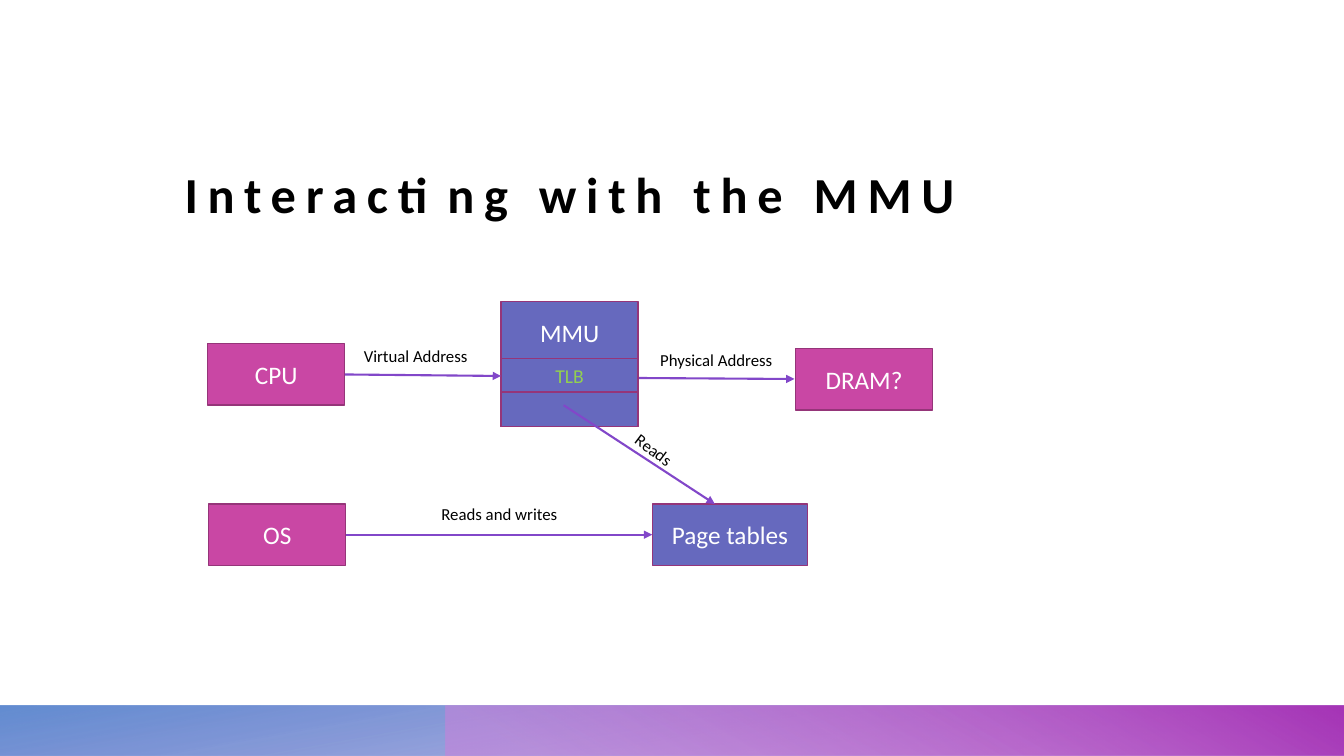
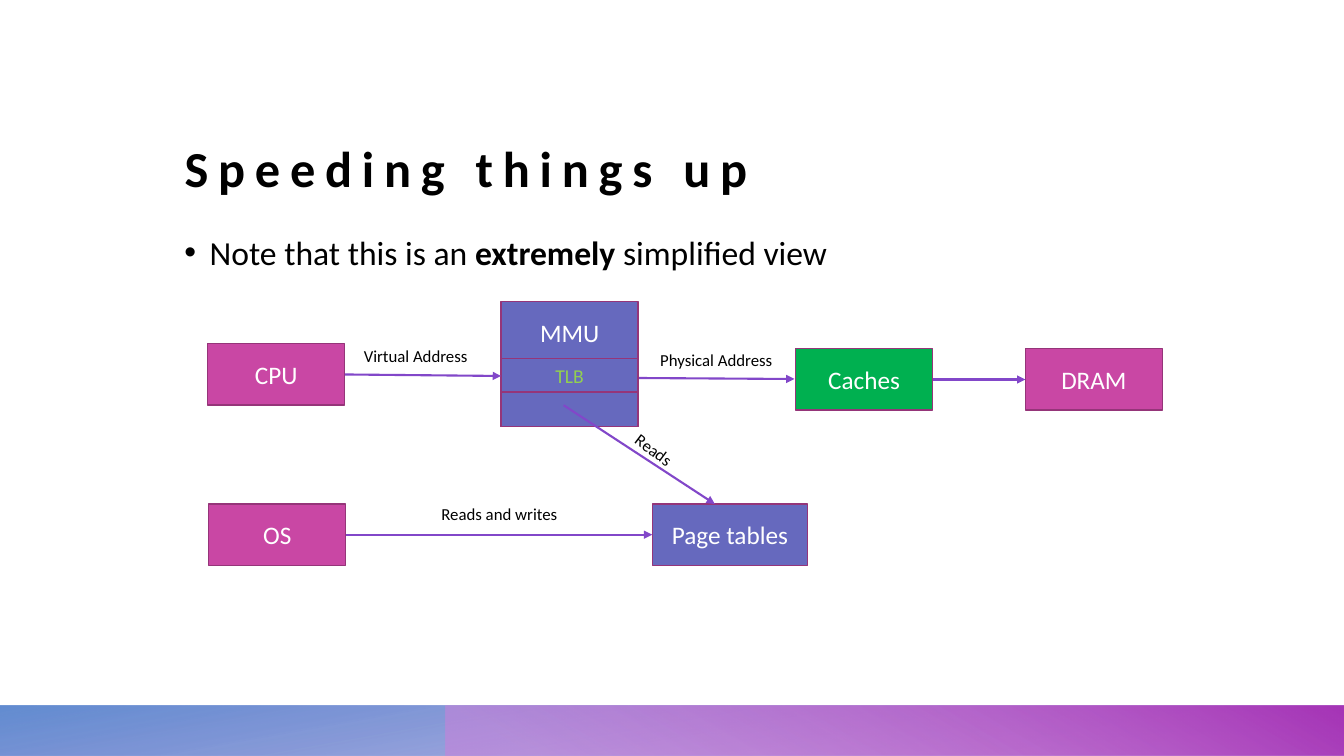
"""Two slides on how the MMU, page tables and caches interact."""
from lxml.etree import SubElement
from pptx import Presentation
from pptx.dml.color import RGBColor
from pptx.enum.shapes import MSO_CONNECTOR, MSO_SHAPE
from pptx.enum.text import MSO_ANCHOR, PP_ALIGN
from pptx.oxml import parse_xml
from pptx.oxml.ns import nsdecls, qn
from pptx.util import Emu, Pt

PX = 9144
FONT = "Calibri"
WIDTH, HEIGHT = 1333, 750
BAND_TOP, BAND_HEIGHT = 700, 50
TITLE_LEFT, TITLE_TOP, TITLE_WIDTH = 183, 87, 1087
BOX_W, BOX_H, STRIP_H = 136, 61, 34
LABEL_W, LABEL_H = 136, 30
RIGHT_SITE, LEFT_SITE = 3, 1

COLORS = {
    "black": "000000",
    "white": "FFFFFF",
    "pink": "C947A4",
    "indigo": "6669BE",
    "green": "00B050",
    "lime": "92D050",
    "outline": "953579",
    "arrow": "8247C9",
}

BANDS = [
    {"left": 0, "rotation": 180, "angle": 100,
     "stops": [(14, "3C38B8", 28), (100, "4779C9", 85)]},
    {"left": 442, "rotation": 0, "angle": 240,
     "stops": [(9, "CE80DA", 55), (99, "A635B7", 100)]},
]

SHARED_BOXES = [
    ("CPU", 206, 341, BOX_W, BOX_H, "pink"),
    ("MMU", 497, 299, BOX_W, 124, "indigo"),
    ("TLB", 497, 356, BOX_W, STRIP_H, "indigo"),
    ("", 497, 389, BOX_W, STRIP_H, "indigo"),
    ("Page tables", 647, 500, 154, BOX_H, "indigo"),
    ("OS", 207, 500, BOX_W, BOX_H, "pink"),
]
BOX_STYLES = {
    "MMU": {"anchor": MSO_ANCHOR.TOP, "margin": 16},
    "TLB": {"size": 14, "color": "lime"},
}
SHARED_ARROWS = [
    ((559, 402), (709, 500)),
    ("CPU", "TLB"),
    ((634, 375), (788, 376)),
    ("OS", "Page tables"),
]
LABELS = [
    ("Virtual Address", 351, 338, 0),
    ("Physical Address", 645, 342, 0),
    ("Reads", 611, 454, 36.9),
    ("Reads and writes", 428, 495, 0),
]

SLIDES = [
    {"title": "Interacting with the MMU", "title_height": 135,
     "boxes": [("DRAM?", 789, 346, BOX_W, BOX_H, "pink")],
     "arrows": [], "note": []},
    {"title": "Speeding things up", "title_height": 109,
     "boxes": [("Caches", 789, 346, BOX_W, BOX_H, "green"),
               ("DRAM", 1017, 346, BOX_W, BOX_H, "pink")],
     "arrows": [("Caches", "DRAM")],
     "note": [("Note that this is an ", False), ("extremely", True),
              (" simplified view", False)]},
]


def px(*lengths):
    return [Emu(length * PX) for length in lengths]


def rgb(name):
    return RGBColor.from_string(COLORS[name])


def style_font(font, size, color="black", bold=False):
    font.name, font.size, font.bold = FONT, Pt(size), bold
    font.color.rgb = rgb(color)


def clear_margins(frame):
    frame.margin_left = frame.margin_right = 0
    frame.margin_top = frame.margin_bottom = 0


def add_rect(slide, left, top, width, height):
    rect = slide.shapes.add_shape(MSO_SHAPE.RECTANGLE, *px(left, top, width, height))
    rect.shadow.inherit = False
    return rect


def add_band(slide, layout, position, band):
    left = band["left"]
    rect = add_rect(slide, left, BAND_TOP, WIDTH - left, BAND_HEIGHT)
    rect.rotation = band["rotation"]
    rect.line.fill.background()
    properties = rect.element.spPr
    properties.find(qn("a:xfrm")).set("flipH", "1")
    stops = "".join(
        f'<a:gs pos="{place * 1000}"><a:srgbClr val="{color}">'
        f'<a:alpha val="{alpha * 1000}"/></a:srgbClr></a:gs>'
        for place, color, alpha in band["stops"])
    gradient = parse_xml(
        f'<a:gradFill {nsdecls("a")} rotWithShape="1"><a:gsLst>{stops}</a:gsLst>'
        f'<a:lin ang="{band["angle"] * 60000}" scaled="0"/></a:gradFill>')
    properties.find(qn("a:prstGeom")).addnext(gradient)
    layout.shapes.element.insert(2 + position, rect.element)


def add_title(slide, text, height):
    title = slide.shapes.title
    title.left, title.top, title.width, title.height = px(
        TITLE_LEFT, TITLE_TOP, TITLE_WIDTH, height)
    frame = title.text_frame
    frame.text = text
    frame.vertical_anchor = MSO_ANCHOR.BOTTOM
    clear_margins(frame)
    heading = frame.paragraphs[0]
    heading.alignment = PP_ALIGN.LEFT
    for run in heading.runs:
        style_font(run.font, 36, bold=True)
        run.font._element.set("spc", "700")


def add_box(slide, text, left, top, width, height, fill):
    box = add_rect(slide, left, top, width, height)
    box.fill.solid()
    box.fill.fore_color.rgb = rgb(fill)
    box.line.color.rgb = rgb("outline")
    box.line.width = Pt(1)
    if text:
        style = BOX_STYLES.get(text, {})
        frame = box.text_frame
        frame.text = text
        frame.vertical_anchor = style.get("anchor", MSO_ANCHOR.MIDDLE)
        if "margin" in style:
            frame.margin_top = Emu(style["margin"] * PX)
        paragraph = frame.paragraphs[0]
        paragraph.alignment = PP_ALIGN.CENTER
        style_font(paragraph.runs[0].font, style.get("size", 18),
                   style.get("color", "white"))
    return box


def add_arrow(slide, boxes, start, end):
    origin = (0, 0) if start in boxes else start
    target = (0, 0) if end in boxes else end
    arrow = slide.shapes.add_connector(MSO_CONNECTOR.STRAIGHT, *px(*origin, *target))
    if start in boxes:
        arrow.begin_connect(boxes[start], RIGHT_SITE)
    if end in boxes:
        arrow.end_connect(boxes[end], LEFT_SITE)
    arrow.line.color.rgb = rgb("arrow")
    arrow.line.width = Pt(1.5)
    properties = arrow._element.spPr
    SubElement(properties.find(qn("a:ln")), qn("a:tailEnd"), type="triangle")
    SubElement(properties, qn("a:effectLst"))


def add_label(slide, text, left, top, rotation):
    label = slide.shapes.add_textbox(*px(left, top, LABEL_W, LABEL_H))
    label.rotation = rotation
    label.text_frame.word_wrap = True
    label.text_frame.text = text
    style_font(label.text_frame.paragraphs[0].runs[0].font, 12)


def add_note(slide, parts):
    note = slide.shapes.add_textbox(*px(TITLE_LEFT, 222, 1120, 433))
    frame = note.text_frame
    frame.word_wrap = True
    clear_margins(frame)
    paragraph = frame.paragraphs[0]
    properties = paragraph._p.get_or_add_pPr()
    properties.set("marL", str(25 * PX))
    properties.set("indent", str(-25 * PX))
    SubElement(properties, qn("a:buFont"), typeface="Arial")
    SubElement(properties, qn("a:buChar"), char="•")
    paragraph.line_spacing = 1.2
    for text, bold in parts:
        run = paragraph.add_run()
        run.text = text
        style_font(run.font, 24, bold=bold)


def add_diagram(slide, content):
    boxes = {box[0]: add_box(slide, *box) for box in SHARED_BOXES + content["boxes"]}
    for start, end in SHARED_ARROWS + content["arrows"]:
        add_arrow(slide, boxes, start, end)
    for label in LABELS:
        add_label(slide, *label)


def main():
    deck = Presentation()
    deck.slide_width, deck.slide_height = px(WIDTH, HEIGHT)
    layout = deck.slide_layouts[5]
    slides = [deck.slides.add_slide(layout) for _ in SLIDES]
    for position, band in enumerate(BANDS):
        add_band(slides[0], layout, position, band)
    for slide, content in zip(slides, SLIDES):
        add_title(slide, content["title"], content["title_height"])
        add_diagram(slide, content)
        if content["note"]:
            add_note(slide, content["note"])
    deck.save("out.pptx")


if __name__ == "__main__":
    main()
